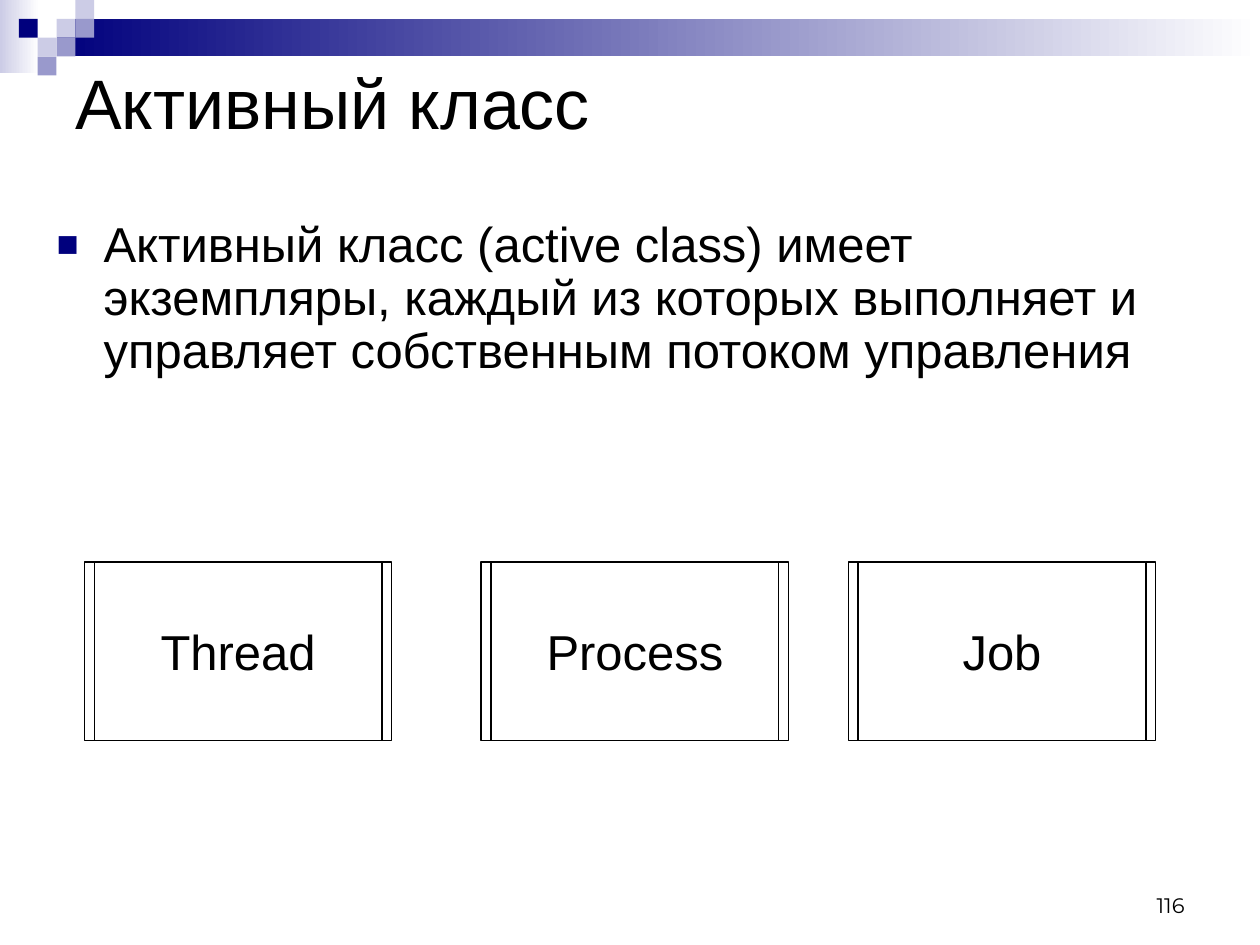
from lxml import etree
from pptx import Presentation
from pptx.dml.color import RGBColor
from pptx.enum.shapes import MSO_SHAPE
from pptx.enum.text import MSO_ANCHOR, PP_ALIGN
from pptx.oxml.ns import qn
from pptx.util import Cm, Pt

RECT = MSO_SHAPE.RECTANGLE
TOP, MIDDLE, BOTTOM = MSO_ANCHOR.TOP, MSO_ANCHOR.MIDDLE, MSO_ANCHOR.BOTTOM
LEFT, CENTER, RIGHT = PP_ALIGN.LEFT, PP_ALIGN.CENTER, PP_ALIGN.RIGHT
BLACK, WHITE = "000000", "FFFFFF"
NAVY, LILAC, PALE = "00007D", "9999CC", "CCCCE6"


def color(value):
    return RGBColor.from_string(value)


def add_rect(slide, left, top, width, height):
    rect = slide.shapes.add_shape(RECT, Cm(left), Cm(top), Cm(width), Cm(height))
    rect.shadow.inherit = False
    rect.fill.background()
    rect.line.fill.background()
    return rect


def write(frame, text, size, font="Arial", align=LEFT, anchor=TOP, wrap=True):
    """Fill a text frame with one paragraph and return that paragraph."""
    frame.word_wrap = wrap
    frame.vertical_anchor = anchor
    paragraph = frame.paragraphs[0]
    paragraph.alignment = align
    run = paragraph.add_run()
    run.text = text
    run.font.size = Pt(size)
    run.font.name = font
    run.font.color.rgb = color(BLACK)
    return paragraph


def add_text(slide, left, top, width, height, text, size, **style):
    box = slide.shapes.add_textbox(Cm(left), Cm(top), Cm(width), Cm(height))
    return write(box.text_frame, text, size, **style)


def add_fade(slide, left, top, width, height, start):
    """Rectangle that fades from a colour to white, left to right."""
    fill = add_rect(slide, left, top, width, height).fill
    fill.gradient()
    fill.gradient_angle = 0
    for stop, value in zip(fill.gradient_stops, (start, WHITE)):
        stop.color.rgb = color(value)


def add_header(slide, left, top, width):
    """Fading band with a mosaic of squares at its left end."""
    unit = 0.38
    add_fade(slide, left, top, 0.79, 1.47, PALE)
    add_fade(slide, left + 3 * unit, top + unit, width - 3 * unit, 2 * unit, NAVY)
    mosaic = [(3, 1, PALE), (4, 0, PALE), (4, 1, LILAC), (2, 2, PALE),
              (1, 1, NAVY), (3, 2, LILAC), (2, 3, LILAC)]
    for column, row, value in mosaic:
        square = add_rect(slide, left + column * unit, top + row * unit, unit, unit)
        square.fill.solid()
        square.fill.fore_color.rgb = color(value)


def add_definition(slide, left, top, width, height, text):
    """Paragraph with a square bullet and a hanging indent."""
    paragraph = add_text(slide, left, top, width, height, text, 28)
    indent = Cm(0.95)
    properties = paragraph._p.get_or_add_pPr()
    properties.set("marL", str(indent))
    properties.set("indent", str(-indent))
    bullet_color = etree.SubElement(properties, qn("a:buClr"))
    etree.SubElement(bullet_color, qn("a:srgbClr"), val=NAVY)
    etree.SubElement(properties, qn("a:buSzPct"), val="75000")
    etree.SubElement(properties, qn("a:buFont"), typeface="Arial")
    etree.SubElement(properties, qn("a:buChar"), char="■")
    paragraph.line_spacing = 0.9


def add_active_class(slide, left, top, width, height, name):
    """UML active class: a named box with a narrow bar on each side."""
    bar = 0.2
    body_width = width - 2 * bar
    parts = [(bar, body_width), (bar + body_width, bar), (0, bar)]
    for index, (offset, part_width) in enumerate(parts):
        part = add_rect(slide, left + offset, top, part_width, height)
        part.line.color.rgb = color(BLACK)
        part.line.width = Pt(0.75)
        if index == 0:
            write(part.text_frame, name, 28, align=CENTER, anchor=MIDDLE, wrap=False)


def main():
    deck = Presentation()
    deck.slide_width, deck.slide_height = Cm(25.4), Cm(19.05)
    slide = deck.slides.add_slide(deck.slide_layouts[6])

    add_header(slide, 0, 0, 25.4)

    # Title and definition
    add_text(slide, 1.27, 1.12, 22.86, 1.85, "Активный класс", 40, anchor=MIDDLE)
    add_definition(slide, 0.89, 4.32, 23.6, 13.36,
                   "Активный класс (active class) имеет экземпляры, каждый из "
                   "которых выполняет и управляет собственным потоком управления")

    # Examples of active classes
    for left, name in [(1.7, "Thread"), (9.7, "Process"), (17.1, "Job")]:
        add_active_class(slide, left, 11.33, 6.2, 3.6, name)

    # Slide number
    add_text(slide, 18.21, 17.35, 5.92, 1.27, "116", 12, font="Montserrat",
             align=RIGHT, anchor=BOTTOM)

    deck.save("out.pptx")


if __name__ == "__main__":
    main()
